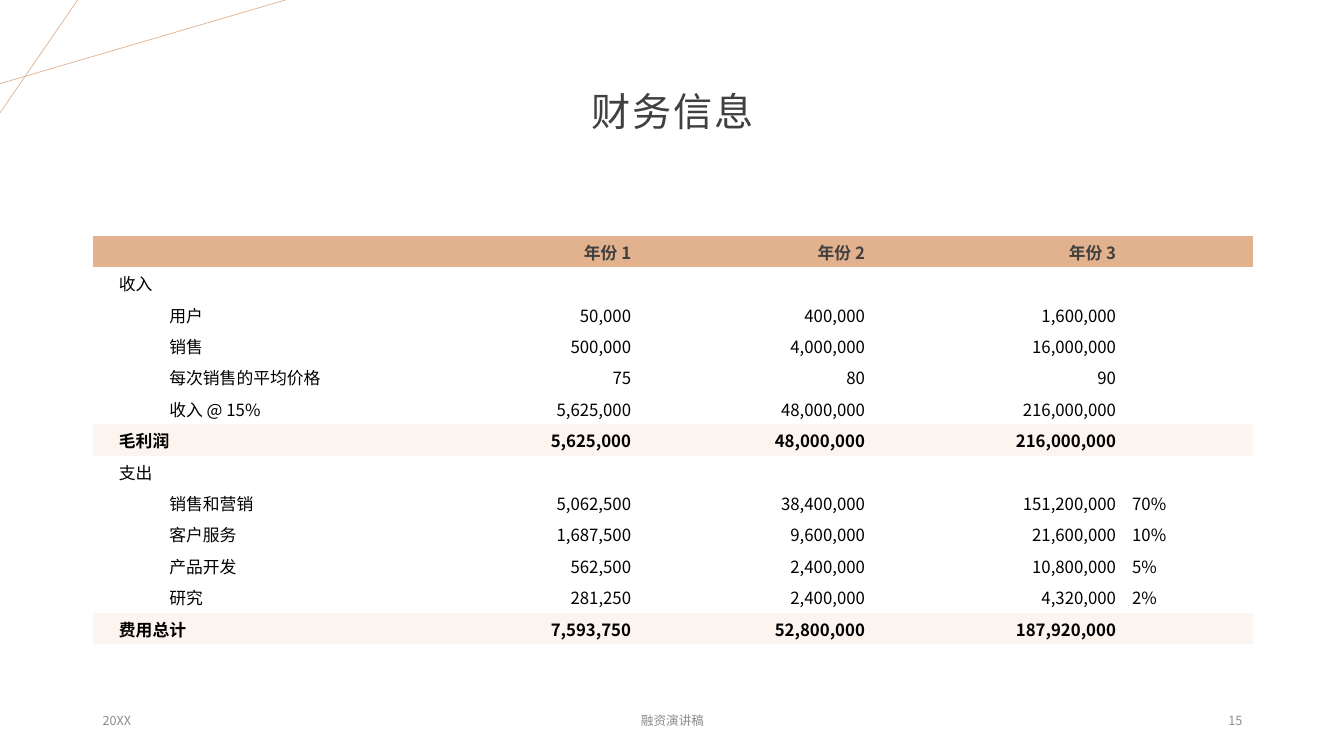
from dataclasses import dataclass

from lxml.etree import SubElement
from pptx import Presentation
from pptx.dml.color import RGBColor
from pptx.enum.shapes import MSO_CONNECTOR
from pptx.enum.text import MSO_ANCHOR as Anchor, PP_ALIGN as Align
from pptx.oxml.ns import qn
from pptx.util import Inches, Pt


@dataclass(frozen=True)
class Theme:
    """Fonts, colours and type sizes of the slide."""
    font: str = "Noto Sans CJK SC"
    accent: str = "E2B18D"
    total_fill: str = "FBF4EF"
    heading: str = "404040"
    body: str = "000000"
    footer: str = "8C8C8C"
    title_size: int = 28
    table_size: int = 12
    footer_size: int = 9
    line_width: float = 0.5


THEME = Theme()
NO_STYLE = "{2D5ABB26-0587-4C30-8999-92F81FD0307C}"
MARGIN, CONTENT_WIDTH = 0.92, 11.5
TABLE_TOP, TABLE_HEIGHT = 2.34, 4.05
COLUMN_WIDTHS = (3.54, 1.88, 2.32, 2.49, 1.28)
COLUMN_ALIGNS = (Align.LEFT, Align.RIGHT, Align.RIGHT, Align.RIGHT, Align.LEFT)
ACCENT_LINES = ((0, 0.83, 2.83, 0), (0.77, 0, 0, 1.12))
FOOTERS = (
    ("20XX", MARGIN, 3, Align.LEFT),
    ("融资演讲稿", 4.42, 4.5, Align.CENTER),
    ("15", 9.42, 3, Align.RIGHT),
)
FINANCES = (
    ("header", "", "年份 1", "年份 2", "年份 3", ""),
    ("section", "收入", "", "", "", ""),
    ("item", "用户", "50,000", "400,000", "1,600,000", ""),
    ("item", "销售", "500,000", "4,000,000", "16,000,000", ""),
    ("item", "每次销售的平均价格", "75", "80", "90", ""),
    ("item", "收入 @ 15%", "5,625,000", "48,000,000", "216,000,000", ""),
    ("total", "毛利润", "5,625,000", "48,000,000", "216,000,000", ""),
    ("section", "支出", "", "", "", ""),
    ("item", "销售和营销", "5,062,500", "38,400,000", "151,200,000", "70%"),
    ("item", "客户服务", "1,687,500", "9,600,000", "21,600,000", "10%"),
    ("item", "产品开发", "562,500", "2,400,000", "10,800,000", "5%"),
    ("item", "研究", "281,250", "2,400,000", "4,320,000", "2%"),
    ("total", "费用总计", "7,593,750", "52,800,000", "187,920,000", ""),
)


def write_text(frame, text, size, color, align, bold=False):
    """Set one formatted paragraph and return it."""
    frame.text = text
    para = frame.paragraphs[0]
    para.alignment = align
    for span in para.runs:
        span.font.name = THEME.font
        span.font.size = Pt(size)
        span.font.bold = bold
        span.font.color.rgb = RGBColor.from_string(color)
        SubElement(span.font._element, qn("a:ea"), typeface=THEME.font)
    if not text:
        SubElement(para._p, qn("a:endParaRPr"), sz=str(size * 100))
    return para


def add_accent_line(page, x1, y1, x2, y2):
    """Draw a thin decorative line."""
    line = page.shapes.add_connector(
        MSO_CONNECTOR.STRAIGHT, Inches(x1), Inches(y1), Inches(x2), Inches(y2))
    line.line.color.rgb = RGBColor.from_string(THEME.accent)
    line.line.width = Pt(THEME.line_width)
    SubElement(line._element.spPr, qn("a:effectLst"))


def add_title(page, text):
    """Place and format the title placeholder."""
    title = page.shapes.title
    title.left, title.top = Inches(MARGIN), Inches(0.4)
    title.width, title.height = Inches(CONTENT_WIDTH), Inches(1.45)
    title.text_frame.vertical_anchor = Anchor.MIDDLE
    para = write_text(title.text_frame, text, THEME.title_size, THEME.heading, Align.CENTER)
    para.line_spacing = 0.9
    para.runs[0].font._element.set("spc", "150")


def add_footer(page, text, left, width, align):
    """Add one small text box at the foot of the slide."""
    box = page.shapes.add_textbox(Inches(left), Inches(6.95), Inches(width), Inches(0.4))
    box.text_frame.word_wrap = True
    box.text_frame.vertical_anchor = Anchor.MIDDLE
    write_text(box.text_frame, text, THEME.footer_size, THEME.footer, align)


def fill_cell(cell, kind, column, text):
    """Format one table cell by its row kind and column."""
    fills = {"header": THEME.accent, "total": THEME.total_fill}
    if kind in fills:
        cell.fill.solid()
        cell.fill.fore_color.rgb = RGBColor.from_string(fills[kind])
    else:
        cell.fill.background()
    cell.vertical_anchor = Anchor.MIDDLE
    cell.margin_left = Inches(0.26 if column == 0 else 0.08)
    cell.margin_right = Inches(0.08)
    cell.margin_top = cell.margin_bottom = Inches(0.04)
    color = THEME.heading if kind == "header" else THEME.body
    para = write_text(cell.text_frame, text, THEME.table_size, color,
                      COLUMN_ALIGNS[column], kind in fills)
    if kind == "item" and column == 0:
        para.level = 1
        properties = para._p.get_or_add_pPr()
        properties.set("marL", str(Inches(0.5)))
        properties.set("indent", "0")


def add_finance_table(page):
    """Build the finance table."""
    frame = page.shapes.add_table(
        len(FINANCES), len(COLUMN_WIDTHS), Inches(MARGIN), Inches(TABLE_TOP),
        Inches(CONTENT_WIDTH), Inches(TABLE_HEIGHT))
    table = frame.table
    table.first_row = table.horz_banding = False
    table._tbl.tblPr.find(qn("a:tableStyleId")).text = NO_STYLE
    for column, width in zip(table.columns, COLUMN_WIDTHS):
        column.width = Inches(width)
    for row, (kind, *texts) in zip(table.rows, FINANCES):
        row.height = Inches(TABLE_HEIGHT / len(FINANCES))
        for column, text in enumerate(texts):
            fill_cell(row.cells[column], kind, column, text)


def main():
    """Build and save the slide."""
    deck = Presentation()
    deck.slide_width, deck.slide_height = Inches(13.33), Inches(7.5)
    page = deck.slides.add_slide(deck.slide_layouts[5])
    for points in ACCENT_LINES:
        add_accent_line(page, *points)
    add_title(page, "财务信息")
    for footer in FOOTERS:
        add_footer(page, *footer)
    add_finance_table(page)
    deck.save("out.pptx")


if __name__ == "__main__":
    main()
